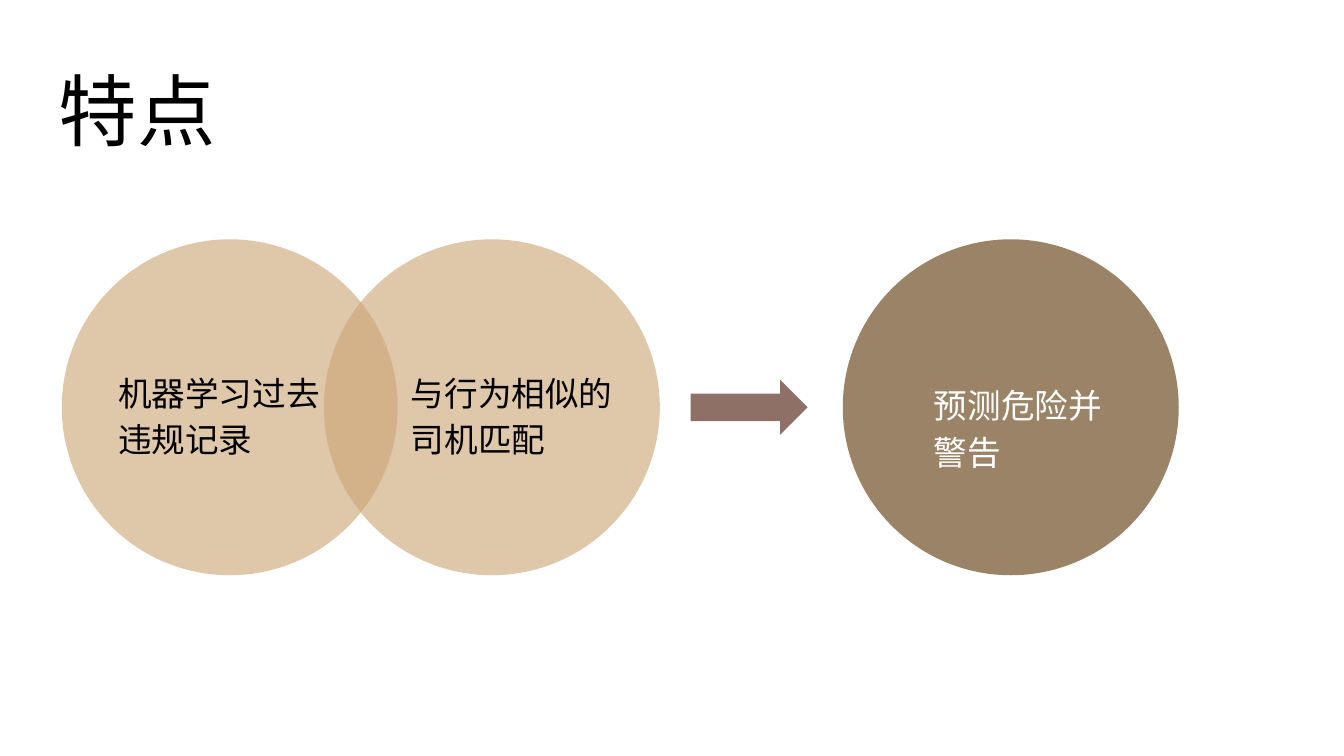
from dataclasses import dataclass

from lxml import etree
from pptx import Presentation
from pptx.dml.color import RGBColor
from pptx.enum import shapes, text
from pptx.oxml.ns import qn
from pptx.util import Pt


@dataclass(frozen=True)
class Theme:
    ink: str = "000000"
    white: str = "FFFFFF"
    sand: str = "CCA677"
    brown: str = "8D7251"
    rust: str = "765145"
    head: str = "Lato"
    body: str = "Open Sans"
    big: float = 42
    mid: float = 18


@dataclass(frozen=True)
class Form:
    kind: shapes.MSO_SHAPE
    left: float
    top: float
    width: float
    height: float
    fill: str
    alpha: int  # opacity in percent


@dataclass(frozen=True)
class Label:
    words: str
    left: float
    top: float
    width: float
    color: str


THEME = Theme()
SIZE = 180  # circle diameter
TOP = 128.2
MID = TOP + SIZE / 2
LINE = 189.4  # top of the paired labels
OVAL = shapes.MSO_SHAPE.OVAL
ARROW = shapes.MSO_SHAPE.RIGHT_ARROW

FORMS = [
    Form(OVAL, 33.1, TOP, SIZE, SIZE, THEME.sand, 62),
    Form(OVAL, 173.5, TOP, SIZE, SIZE, THEME.sand, 62),
    Form(ARROW, 370, MID - 14.75, 62.7, 29.5, THEME.rust, 82),
    Form(OVAL, 451.5, TOP, SIZE, SIZE, THEME.brown, 88),
]
LABELS = [
    Label("机器学习过去违规记录", 56.2, LINE, 134, THEME.ink),
    Label("与行为相似的司机匹配", 213.1, LINE, 122.4, THEME.ink),
    Label("预测危险并警告", 493.2, LINE + 6.5, 109.4, THEME.white),
]


def draw_form(slide, form: Form) -> None:
    shape = slide.shapes.add_shape(
        form.kind, Pt(form.left), Pt(form.top), Pt(form.width), Pt(form.height))
    shape.shadow.inherit = False
    shape.line.fill.background()
    shape.fill.solid()
    shape.fill.fore_color.rgb = RGBColor.from_string(form.fill)
    tint = shape.fill._xPr.find(qn("a:solidFill"))[0]
    etree.SubElement(tint, qn("a:alpha"), val=str(form.alpha * 1000))


def write(slide, words: str, *, left: float, top: float, width: float,
          height: float, font: str, size: float, color: str,
          anchor=text.MSO_ANCHOR.TOP, space: float = 1, after: float = 0) -> None:
    box = slide.shapes.add_textbox(Pt(left), Pt(top), Pt(width), Pt(height))
    frame = box.text_frame
    frame.word_wrap = True
    frame.vertical_anchor = anchor
    frame.margin_left = frame.margin_right = Pt(7.2)
    frame.margin_top = frame.margin_bottom = Pt(7.2)
    para = frame.paragraphs[0]
    para.line_spacing = space
    para.space_after = Pt(after)
    run = para.add_run()
    run.text = words
    run.font.name = font
    run.font.size = Pt(size)
    run.font.color.rgb = RGBColor.from_string(color)


def main() -> None:
    deck = Presentation()
    deck.slide_width, deck.slide_height = Pt(720), Pt(405)
    slide = deck.slides.add_slide(deck.slide_layouts[6])

    # Title
    write(slide, "特点", left=24.5, top=25.2, width=671, height=65.5,
          font=THEME.head, size=THEME.big, color=THEME.ink,
          anchor=text.MSO_ANCHOR.BOTTOM)

    # Overlapping causes, arrow and result
    for form in FORMS:
        draw_form(slide, form)

    # Labels on the circles
    for label in LABELS:
        write(slide, label.words, left=label.left, top=label.top,
              width=label.width, height=36.7, font=THEME.body, size=THEME.mid,
              color=label.color, space=1.15, after=16)

    deck.save("out.pptx")


if __name__ == "__main__":
    main()
